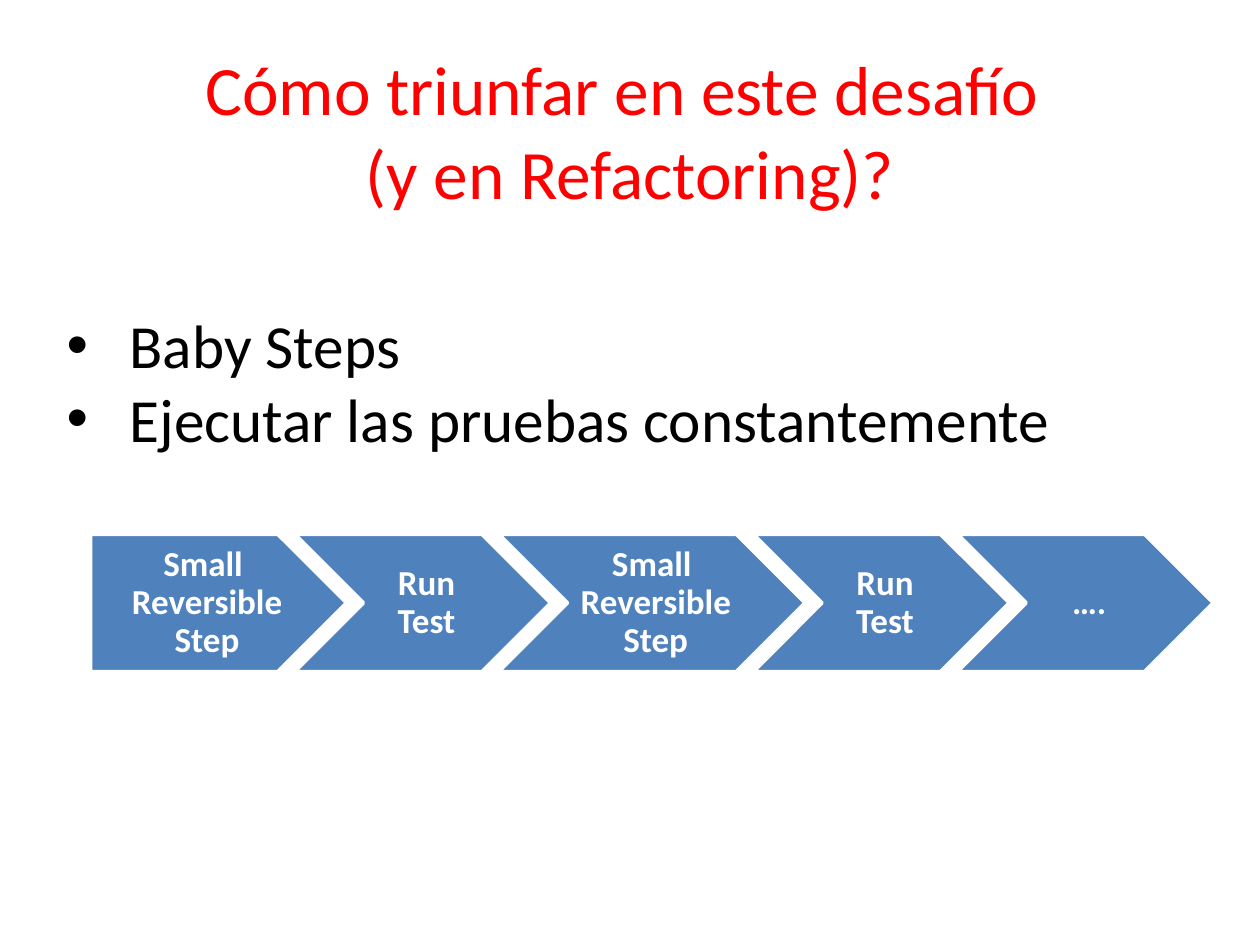
from dataclasses import dataclass

from lxml import etree
from pptx import Presentation
from pptx.dml.color import RGBColor
from pptx.enum import shapes, text
from pptx.oxml import ns
from pptx.util import Inches, Pt


@dataclass(frozen=True)
class Theme:
    font: str = "Calibri"
    title_color: RGBColor = RGBColor(0xFF, 0x00, 0x00)
    body_color: RGBColor = RGBColor(0x00, 0x00, 0x00)
    step_fill: RGBColor = RGBColor(0x4F, 0x81, 0xBD)
    white: RGBColor = RGBColor(0xFF, 0xFF, 0xFF)
    title_size: float = 39.6
    body_size: float = 35
    step_size: float = 20


THEME = Theme()

TITLE = "Cómo triunfar en este desafío \v(y en Refactoring)?"
BULLETS = ["Baby Steps", "Ejecutar las pruebas constantemente"]
SMALL_STEP = "Small \vReversible Step"
# Label and arrow width in inches
STEPS = [
    (SMALL_STEP, 2.03),
    ("Run Test", 2.03),
    (SMALL_STEP, 2.43),
    ("Run Test", 2.03),
    ("….", 2.03),
]
STEP_LEFT, STEP_TOP, STEP_HEIGHT, STEP_OVERLAP = 0.72, 4.24, 1.09, 0.41


def format_text(frame, size, color, bold=False, alignment=None):
    frame.word_wrap = True
    for paragraph in frame.paragraphs:
        paragraph.alignment = alignment
        for run in paragraph.runs:
            run.font.name = THEME.font
            run.font.size = Pt(size)
            run.font.bold = bold
            run.font.color.rgb = color


def add_title(slide):
    box = slide.shapes.add_textbox(Inches(0.5), Inches(0.36), Inches(9), Inches(1.34))
    frame = box.text_frame
    frame.text = TITLE
    frame.vertical_anchor = text.MSO_ANCHOR.MIDDLE
    format_text(frame, THEME.title_size, THEME.title_color,
                alignment=text.PP_ALIGN.CENTER)


def add_bullet(paragraph, indent):
    properties = paragraph._p.get_or_add_pPr()
    properties.set("marL", str(indent))
    properties.set("indent", str(-indent))
    etree.SubElement(properties, ns.qn("a:buFont"), typeface="Arial")
    etree.SubElement(properties, ns.qn("a:buChar"), char="•")


def add_bullet_list(slide):
    box = slide.shapes.add_textbox(Inches(0.43), Inches(2.39), Inches(9.06), Inches(1.28))
    frame = box.text_frame
    frame.text = "\n".join(BULLETS)
    format_text(frame, THEME.body_size, THEME.body_color)
    for paragraph in frame.paragraphs:
        add_bullet(paragraph, Inches(0.5))


def add_step(slide, kind, label, left, width):
    arrow = slide.shapes.add_shape(kind, Inches(left), Inches(STEP_TOP),
                                   Inches(width), Inches(STEP_HEIGHT))
    arrow.shadow.inherit = False
    arrow.fill.solid()
    arrow.fill.fore_color.rgb = THEME.step_fill
    arrow.line.color.rgb = THEME.white
    arrow.line.width = Pt(2)

    first = kind == shapes.MSO_SHAPE.PENTAGON
    frame = arrow.text_frame
    frame.text = label
    frame.vertical_anchor = text.MSO_ANCHOR.MIDDLE
    frame.margin_left = Inches(0.12 if first else 0.09)
    frame.margin_right = Inches(0.03)
    frame.margin_top = frame.margin_bottom = Inches(0.06)
    format_text(frame, THEME.step_size, THEME.white, bold=True,
                alignment=text.PP_ALIGN.CENTER)
    frame.paragraphs[0].line_spacing = 0.9


def add_process(slide):
    """Chain the steps so that each arrow nests into the one before."""
    left = STEP_LEFT
    kind = shapes.MSO_SHAPE.PENTAGON
    for label, width in STEPS:
        add_step(slide, kind, label, left, width)
        left += width - STEP_OVERLAP
        kind = shapes.MSO_SHAPE.CHEVRON


def main():
    presentation = Presentation()
    presentation.slide_width = Inches(10)
    presentation.slide_height = Inches(7.5)
    slide = presentation.slides.add_slide(presentation.slide_layouts[6])
    add_title(slide)
    add_process(slide)
    add_bullet_list(slide)
    presentation.save("out.pptx")


if __name__ == "__main__":
    main()
